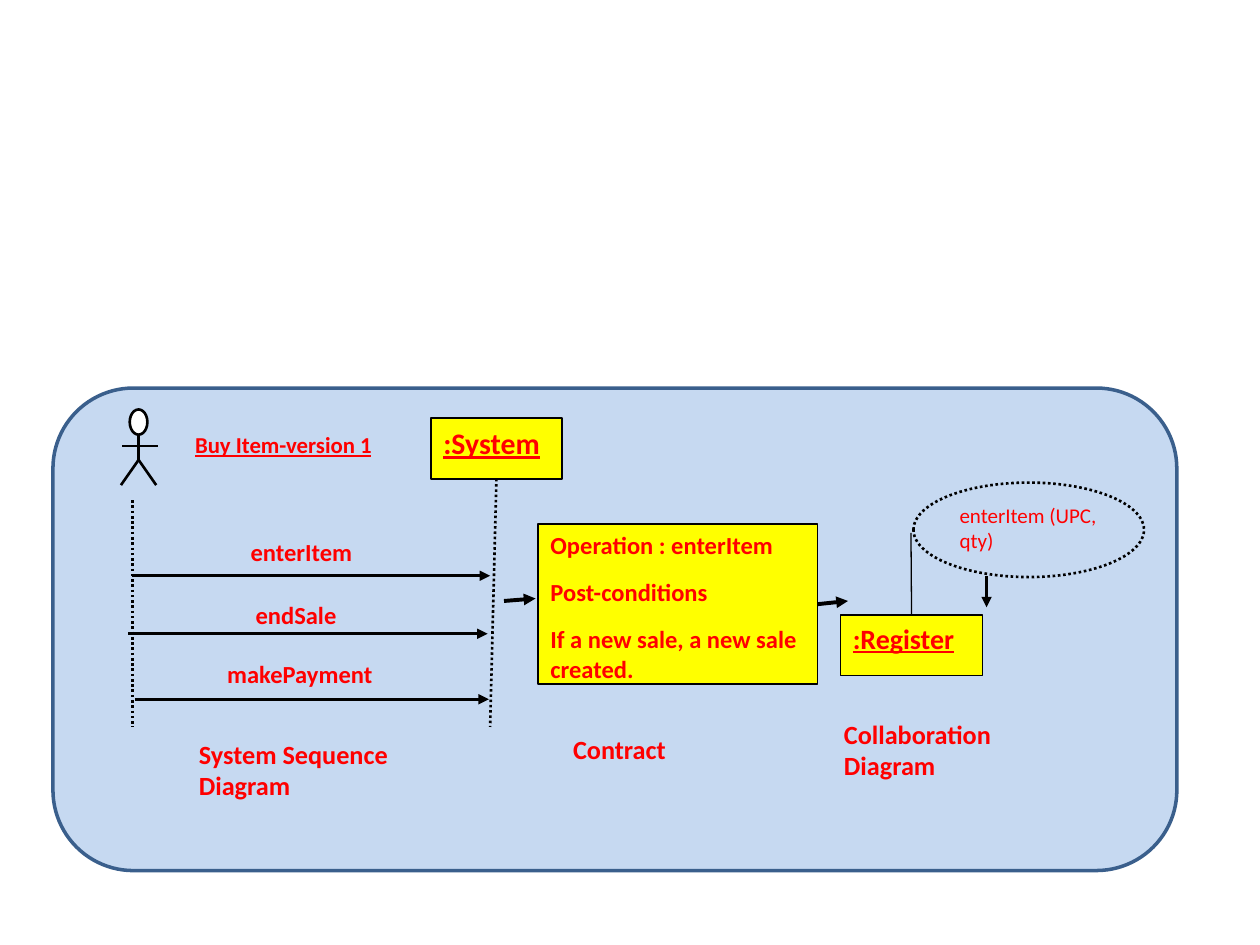
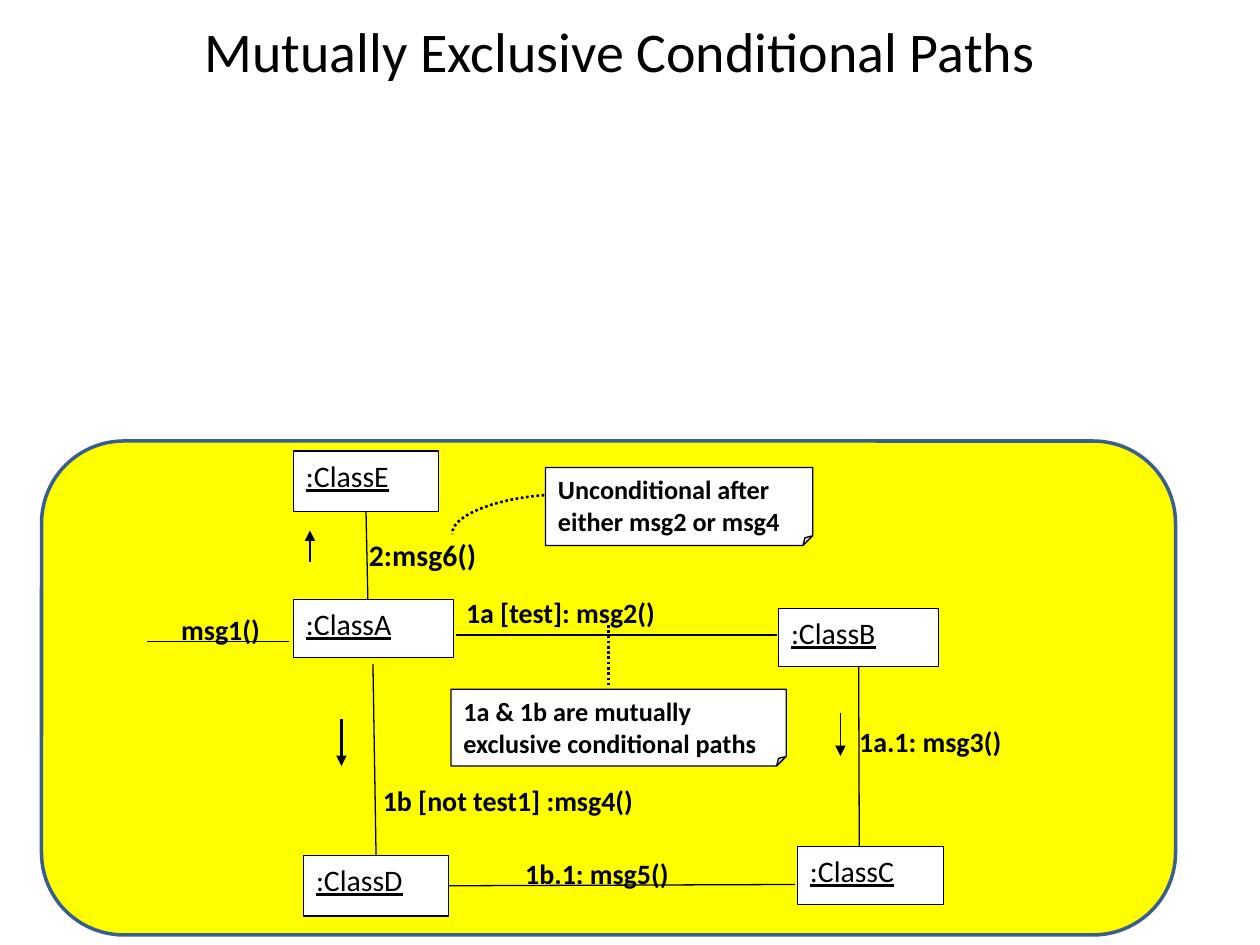
from dataclasses import dataclass
from typing import Any

from lxml import etree
from pptx import Presentation
from pptx.dml.color import RGBColor
from pptx.enum.dml import MSO_LINE
from pptx.enum.shapes import MSO_CONNECTOR, MSO_SHAPE
from pptx.enum.text import MSO_ANCHOR, PP_ALIGN
from pptx.oxml.ns import qn
from pptx.util import Inches, Pt

RECT = MSO_SHAPE.RECTANGLE
ROUNDED = MSO_SHAPE.ROUNDED_RECTANGLE
ELLIPSE = MSO_SHAPE.OVAL
NOTE = MSO_SHAPE.FOLDED_CORNER
STRAIGHT = MSO_CONNECTOR.STRAIGHT
DOTTED = MSO_LINE.ROUND_DOT
LEFT = PP_ALIGN.LEFT
CENTER = PP_ALIGN.CENTER
TOP_ANCHOR = MSO_ANCHOR.TOP
TOP_SIDE, BOTTOM_SIDE, RIGHT_SIDE = 0, 2, 3
FONT = "Calibri"
COLORS = {
    "black": "000000",
    "white": "FFFFFF",
    "red": "FF0000",
    "yellow": "FFFF00",
    "sky": "C6D9F1",
    "edge": "3A5F8C",
}


def rgb(name):
    return RGBColor.from_string(COLORS[name])


def style_line(line, width, color="black", dash=None):
    line.color.rgb = rgb(color)
    line.width = Pt(width)
    if dash:
        line.dash_style = dash


def write(shape, text, size=14, color="black", bold=False, underline=False,
          align=LEFT):
    frame = shape.text_frame
    frame.word_wrap = True
    frame.vertical_anchor = TOP_ANCHOR
    for index, line in enumerate(text.split("\n")):
        paragraph = frame.add_paragraph() if index else frame.paragraphs[0]
        paragraph.alignment = align
        paragraph.space_after = Pt(10)
        run = paragraph.add_run()
        run.text = line
        run.font.name = FONT
        run.font.size = Pt(size)
        run.font.bold = bold
        run.font.underline = underline
        run.font.color.rgb = rgb(color)


@dataclass
class Region:
    slide: Any
    left: float
    top: float

    def point(self, x, y):
        return Inches(self.left + x), Inches(self.top + y)

    def frame(self, x, y, width, height):
        return *self.point(x, y), Inches(width), Inches(height)

    def box(self, at, text="", kind=RECT, fill="white", width=0.75,
            edge="black", dash=None, **format):
        shape = self.slide.shapes.add_shape(kind, *self.frame(*at))
        shape.shadow.inherit = False
        if fill:
            shape.fill.solid()
            shape.fill.fore_color.rgb = rgb(fill)
        else:
            shape.fill.background()
        style_line(shape.line, width, edge, dash)
        if text:
            write(shape, text, **format)
        return shape

    def label(self, at, text, **format):
        write(self.slide.shapes.add_textbox(*self.frame(*at)), text, **format)

    def line(self, start, end, width=0.75, dash=None, arrow=False,
             begin_at=None, end_at=None):
        link = self.slide.shapes.add_connector(
            STRAIGHT, *self.point(*start), *self.point(*end))
        if begin_at:
            link.begin_connect(*begin_at)
        if end_at:
            link.end_connect(*end_at)
        style_line(link.line, width, dash=dash)
        properties = link._element.spPr
        if arrow:
            etree.SubElement(properties.find(qn("a:ln")), qn("a:tailEnd"),
                             type="triangle")
        etree.SubElement(properties, qn("a:effectLst"))

    def curve(self, controls, width, dash, steps=16):
        points = []
        for step in range(steps + 1):
            t = step / steps
            weights = ((1 - t) ** 3, 3 * t * (1 - t) ** 2,
                       3 * t ** 2 * (1 - t), t ** 3)
            points.append(self.point(*(
                sum(w * p[axis] for w, p in zip(weights, controls))
                for axis in (0, 1))))
        builder = self.slide.shapes.build_freeform(*points[0])
        builder.add_line_segments(points[1:], close=False)
        shape = builder.convert_to_shape()
        shape.shadow.inherit = False
        shape.fill.background()
        style_line(shape.line, width, dash=dash)


def draw_panel(slide, left, top, width, height, fill):
    panel = Region(slide, left, top)
    panel.box((0, 0, width, height), kind=ROUNDED, fill=fill, width=2,
              edge="edge")
    return panel


def draw_actor(region):
    region.box((0.03, 0, 0.14, 0.2), kind=ELLIPSE, width=1.5)
    neck, hip = (0.1, 0.2), (0.1, 0.4)
    for start, end in ((neck, hip), (hip, (-0.04, 0.6)), (hip, (0.24, 0.6)),
                       ((-0.03, 0.29), (0.25, 0.29))):
        region.line(start, end, 1.5)


def draw_sequence(region):
    draw_actor(region)
    heading = dict(color="red", bold=True, underline=True)
    system = region.box((2.42, 0.07, 1.04, 0.48), ":System", fill="yellow",
                        width=1, size=17, **heading)
    region.label((0.45, 0.12, 1.68, 0.48), "Buy Item-version 1", size=13,
                 **heading)
    region.line((0.05, 0.72), (0.05, 2.52), 1.5, DOTTED)
    region.line((2.94, 0.55), (2.89, 2.52), 1.5, DOTTED,
                begin_at=(system, BOTTOM_SIDE))
    messages = (
        ("enterItem", (0.89, 0.96, 2.45, 0.39), LEFT, 0.05, 2.89, 1.32),
        ("endSale", (0.12, 1.46, 2.46, 0.36), CENTER, 0.02, 2.87, 1.78),
        ("makePayment", (0.15, 1.93, 2.46, 0.36), CENTER, 0.07, 2.88, 2.3),
    )
    for text, at, align, sender, receiver, y in messages:
        region.line((sender, y), (receiver, y), 1.5, arrow=True)
        region.label(at, text, color="red", bold=True, align=align)
    region.label((0.48, 2.56, 2.05, 0.59), "System Sequence Diagram",
                 size=15, color="red", bold=True)


def draw_contract(region):
    contract = region.box(
        (0.27, 0, 2.22, 1.27),
        "Operation : enterItem\nPost-conditions\n"
        "If a new sale, a new sale created.",
        fill="yellow", color="red", bold=True)
    region.line((0, 0.61), (0.25, 0.59), 2.25, arrow=True)
    region.label((0.45, 1.61, 1.17, 0.44), "Contract", size=15, color="red",
                 bold=True)
    return contract


def draw_collaboration(region, contract):
    register = region.box((0.07, 1.05, 1.13, 0.48), ":Register",
                          fill="yellow", size=16, color="red", bold=True,
                          underline=True)
    region.line((0.63, 0.4), (0.63, 1.05), end_at=(register, TOP_SIDE))
    region.box((0.65, 0, 1.83, 0.75), "enterItem (UPC, qty)", kind=ELLIPSE,
               fill=None, width=1.5, dash=DOTTED, size=12, color="red")
    region.line((1.23, 0.74), (1.23, 0.99), 1.5, arrow=True)
    region.line((-0.12, 0.96), (0.13, 0.94), 2.25, arrow=True,
                begin_at=(contract, RIGHT_SIDE))
    region.label((0, 1.82, 1.57, 0.6), "Collaboration Diagram", size=15,
                 color="red", bold=True)


def draw_classes(region):
    places = {
        "A": (2, 1.26, 1.27, 0.46),
        "B": (5.85, 1.33, 1.27, 0.46),
        "C": (6, 3.22, 1.16, 0.46),
        "D": (2.08, 3.29, 1.15, 0.48),
        "E": (2, 0.08, 1.15, 0.48),
    }
    classes = {letter: region.box(at, f":Class{letter}", size=17,
                                  underline=True)
               for letter, at in places.items()}
    region.line((2.59, 0.56), (2.59, 1.26),
                begin_at=(classes["E"], BOTTOM_SIDE))
    region.line((3.29, 1.54), (5.84, 1.54))
    region.line((6.48, 1.79), (6.49, 3.22),
                begin_at=(classes["B"], BOTTOM_SIDE))
    region.line((2.63, 1.77), (2.63, 3.29), end_at=(classes["D"], TOP_SIDE))
    region.line((3.23, 3.52), (5.98, 3.52),
                begin_at=(classes["D"], RIGHT_SIDE))
    region.line((0.84, 1.59), (1.96, 1.59))


def draw_messages(region):
    for text, size, at in (
        ("2:msg6()", 17, (2.5, 0.71, 1.13, 0.45)),
        ("1a [test]: msg2()", 16, (3.27, 1.18, 2.55, 0.35)),
        ("1a.1: msg3()", 16, (6.39, 2.2, 1.51, 0.34)),
        ("msg1()", 16, (1.01, 1.31, 1, 0.38)),
        ("1b [not test1] :msg4()", 16, (2.61, 2.67, 2.23, 0.42)),
        ("1b.1: msg5()", 16, (3.74, 3.25, 1.75, 0.38)),
    ):
        region.label(at, text, size=size, bold=True)
    for x, start, end, width in ((6.34, 2.16, 2.5, 1), (2.38, 2.21, 2.58, 1.5),
                                 (2.13, 0.96, 0.71, 1.5)):
        region.line((x, start), (x, end), width, arrow=True)


def draw_notes(region):
    for text, at in (
        ("Unconditional after either msg2 or msg4", (4, 0.21, 2.12, 0.62)),
        ("1a & 1b are mutually exclusive conditional paths",
         (3.25, 1.97, 2.66, 0.61)),
    ):
        note = region.box(at, text, kind=NOTE, size=15, bold=True)
        corner = note._element.spPr.find(qn("a:prstGeom")).find(qn("a:avLst"))
        etree.SubElement(corner, qn("a:gd"), name="adj", fmla="val 12500")
    region.curve(((3.99, 0.43), (3.58, 0.46), (3.25, 0.6), (3.26, 0.74)),
                 1.5, DOTTED)
    region.line((4.5, 1.46), (4.5, 1.96), 1.5, DOTTED)


def build_artifacts(slide):
    draw_panel(slide, 0.42, 3.08, 8.92, 3.83, "sky")
    draw_sequence(Region(slide, 1, 3.25))
    contract = draw_contract(Region(slide, 4, 4.16))
    draw_collaboration(Region(slide, 6.6, 3.83), contract)


def build_conditional_paths(slide):
    Region(slide, 1.42, 0.08).label(
        (0, 0, 7, 1.25), "Mutually Exclusive Conditional Paths", size=32,
        align=CENTER)
    panel = draw_panel(slide, 0.33, 3.5, 9, 3.92, "yellow")
    draw_classes(panel)
    draw_messages(panel)
    draw_notes(panel)


def main():
    deck = Presentation()
    deck.slide_width, deck.slide_height = Inches(10), Inches(7.5)
    for build in (build_artifacts, build_conditional_paths):
        build(deck.slides.add_slide(deck.slide_layouts[6]))
    deck.save("out.pptx")


if __name__ == "__main__":
    main()
